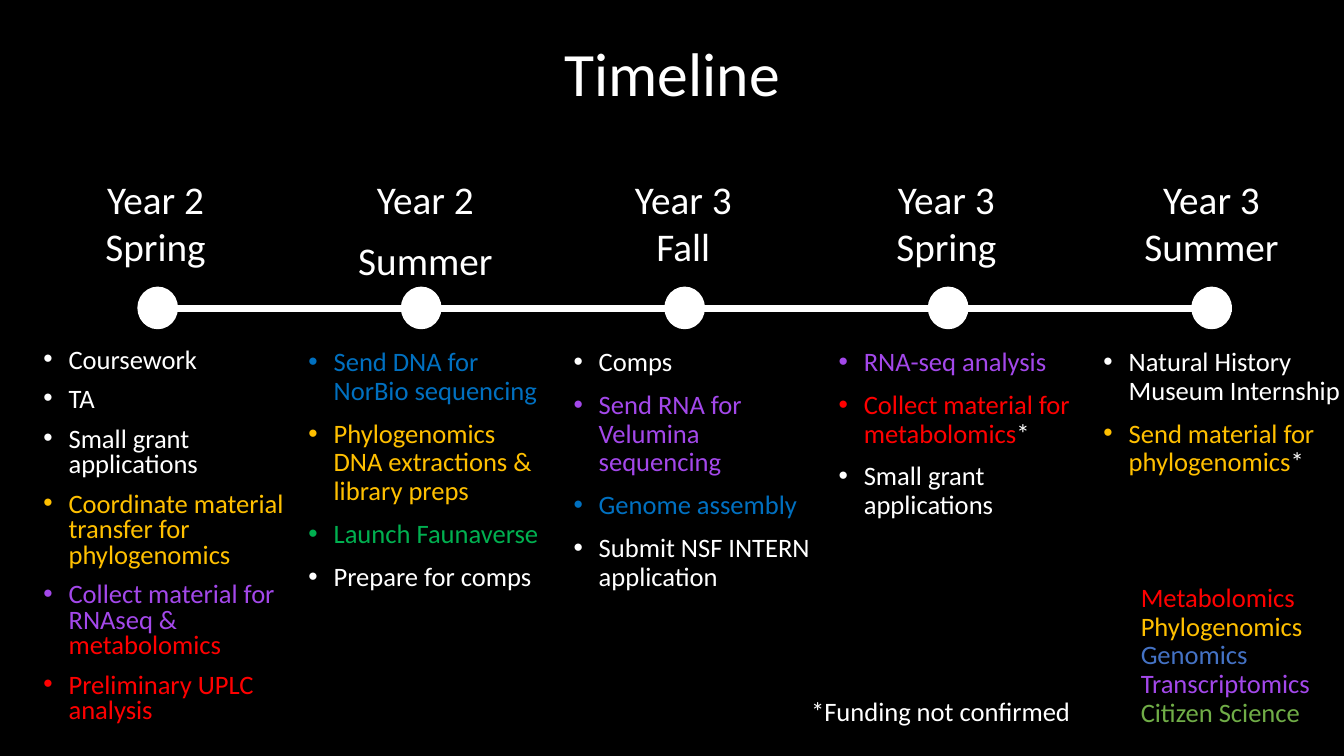
from dataclasses import dataclass

from lxml.etree import SubElement
from pptx import Presentation
from pptx.dml.color import RGBColor
from pptx.enum.shapes import MSO_CONNECTOR as Connector, MSO_SHAPE as Preset
from pptx.enum.text import MSO_ANCHOR as Anchor, MSO_AUTO_SIZE as AutoSize, PP_ALIGN as Align
from pptx.oxml.ns import qn
from pptx.util import Cm, Pt


@dataclass(frozen=True)
class Theme:
    font: str = "Calibri"
    title_size: int = 44
    heading_size: int = 28
    text_size: int = 19
    background: str = "000000"
    plain: str = "FFFFFF"
    metabolomics: str = "FF0000"
    phylogenomics: str = "FFC000"
    genomics: str = "0070C0"
    genomics_key: str = "4472C4"
    transcriptomics: str = "A348EA"
    citizen: str = "00B050"
    citizen_key: str = "70AD47"


THEME = Theme()
COMPARISON_LAYOUT = 4
BREAK = "\n"

FRAME = {"word_wrap": True, "auto_size": AutoSize.NONE, "vertical_anchor": Anchor.TOP}
TITLE_FRAME = FRAME | {"vertical_anchor": Anchor.MIDDLE}
TITLE = {"alignment": Align.CENTER, "line_spacing": 0.9}
HEADING = {"alignment": Align.CENTER, "space_before": Pt(10)}
BODY = {"alignment": Align.LEFT, "line_spacing": 0.9, "space_before": Pt(10)}
TIGHT_BODY = BODY | {"line_spacing": 0.8}

# Heading centre in cm, and heading paragraphs of (text, colour) runs
HEADINGS = [
    (3.92, [[("Year 2\nSpring", THEME.plain)]]),
    (10.72, [[("Year 2", THEME.plain)], [("Summer", THEME.plain)]]),
    (17.22, [[("Year 3\nFall", THEME.plain)]]),
    (23.85, [[("Year 3\nSpring", THEME.plain)]]),
    (30.53, [[("Year 3\nSummer", THEME.plain)]]),
]
TASKS = [
    [
        [("Coursework", THEME.plain)],
        [("TA", THEME.plain)],
        [("Small grant applications", THEME.plain)],
        [("Coordinate material transfer for phylogenomics", THEME.phylogenomics)],
        [("Collect material for RNAseq & ", THEME.transcriptomics),
         ("metabolomics", THEME.metabolomics)],
        [("Preliminary UPLC analysis", THEME.metabolomics)],
    ],
    [
        [("Send DNA for NorBio sequencing", THEME.genomics)],
        [("Phylogenomics DNA extractions & library preps", THEME.phylogenomics)],
        [("Launch Faunaverse", THEME.citizen)],
        [("Prepare for comps", THEME.plain)],
    ],
    [
        [("Comps", THEME.plain)],
        [("Send RNA for Velumina sequencing", THEME.transcriptomics)],
        [("Genome assembly", THEME.genomics)],
        [("Submit NSF INTERN application", THEME.plain)],
    ],
    [
        [("RNA-seq analysis", THEME.transcriptomics)],
        [("Collect material for metabolomics", THEME.metabolomics), ("*", THEME.plain)],
        [("Small grant applications", THEME.plain)],
    ],
    [
        [("Natural History Museum Internship", THEME.plain)],
        [("Send material for phylogenomics", THEME.phylogenomics), ("*", THEME.plain)],
    ],
]
LEGEND = [
    ("Metabolomics\n", THEME.metabolomics),
    ("Phylogenomics\n", THEME.phylogenomics),
    ("Genomics\n", THEME.genomics_key),
    ("Transcriptomics\n", THEME.transcriptomics),
    ("Citizen Science", THEME.citizen_key),
]


def apply(target, values):
    for name, value in values.items():
        setattr(target, name, value)


def place(shape, left, top, width, height):
    """Move and size a shape, in centimetres."""
    apply(shape, {"left": Cm(left), "top": Cm(top), "width": Cm(width), "height": Cm(height)})


def add_box(slide, left, top, width, height):
    return slide.shapes.add_textbox(Cm(left), Cm(top), Cm(width), Cm(height))


def add_bullet(paragraph):
    properties = paragraph._p.get_or_add_pPr()
    properties.set("marL", str(Cm(0.635)))
    properties.set("indent", str(Cm(-0.635)))
    SubElement(properties, qn("a:buFont"), typeface="Arial")
    SubElement(properties, qn("a:buChar"), char="•")


def add_run(paragraph, text, size, color):
    """Add coloured text, turning each newline into a line break."""
    for number, line in enumerate(text.split(BREAK)):
        if number:
            paragraph.add_line_break()
        if line:
            run = paragraph.add_run()
            run.text = line
            apply(run.font, {"name": THEME.font, "size": Pt(size), "bold": False})
            run.font.color.rgb = RGBColor.from_string(color)


def write(shape, paragraphs, size, style, frame_style=FRAME, bulleted=False):
    frame = shape.text_frame
    apply(frame, frame_style)
    for number, runs in enumerate(paragraphs):
        paragraph = frame.add_paragraph() if number else frame.paragraphs[0]
        apply(paragraph, style if number else style | {"space_before": Pt(0)})
        if bulleted:
            add_bullet(paragraph)
        for text, color in runs:
            add_run(paragraph, text, size, color)


def add_axis(slide):
    axis = slide.shapes.add_connector(Connector.STRAIGHT, Cm(4.04), Cm(7.77), Cm(31.04), Cm(7.77))
    axis.line.color.rgb = RGBColor.from_string(THEME.plain)
    axis.line.width = Pt(4.5)
    SubElement(axis._element.spPr, qn("a:effectLst"))


def add_milestone(slide, left):
    dot = slide.shapes.add_shape(Preset.OVAL, Cm(left), Cm(7.24), Cm(0.99), Cm(1.04))
    dot.shadow.inherit = False
    dot.fill.solid()
    dot.fill.fore_color.rgb = RGBColor.from_string(THEME.plain)
    dot.line.color.rgb = RGBColor.from_string(THEME.plain)
    dot.line.width = Pt(1)


def add_heading(slide, centre, paragraphs):
    width = 4.62
    box = add_box(slide, centre - width / 2, 4.29, width, 3.07)
    write(box, paragraphs, THEME.heading_size, HEADING)


def fill_task_lists(slide):
    """Fill the layout's body placeholders, then a text box for the last period."""
    bodies = [shape for shape in slide.placeholders if shape != slide.shapes.title]
    bodies.append(add_box(slide, 0, 0, 1, 1))
    for column, (body, tasks) in enumerate(zip(bodies, TASKS)):
        is_long = len(tasks) > 4
        place(body, 0.84 + 6.68 * column, 8.66, 6.58, 10.3 if is_long else 6.71)
        write(body, tasks, THEME.text_size, TIGHT_BODY if is_long else BODY, bulleted=True)


def main():
    presentation = Presentation()
    apply(presentation, {"slide_width": Cm(33.87), "slide_height": Cm(19.05)})
    slide = presentation.slides.add_slide(presentation.slide_layouts[COMPARISON_LAYOUT])
    slide.background.fill.solid()
    slide.background.fill.fore_color.rgb = RGBColor.from_string(THEME.background)

    title = slide.shapes.title
    place(title, 2.34, 0.1, 29.21, 3.68)
    write(title, [[("Timeline", THEME.plain)]], THEME.title_size, TITLE, TITLE_FRAME)

    add_axis(slide)
    for column, (centre, paragraphs) in enumerate(HEADINGS):
        add_milestone(slide, 3.48 + 6.64 * column)
        add_heading(slide, centre, paragraphs)
    fill_task_lists(slide)

    write(add_box(slide, 28.5, 14.6, 5.2, 4.2), [LEGEND], THEME.text_size, BODY)
    footnote = add_box(slide, 20.19, 17.48, 7.29, 1.14)
    write(footnote, [[("*Funding not confirmed", THEME.plain)]], THEME.text_size, BODY)

    presentation.save("out.pptx")


if __name__ == "__main__":
    main()
